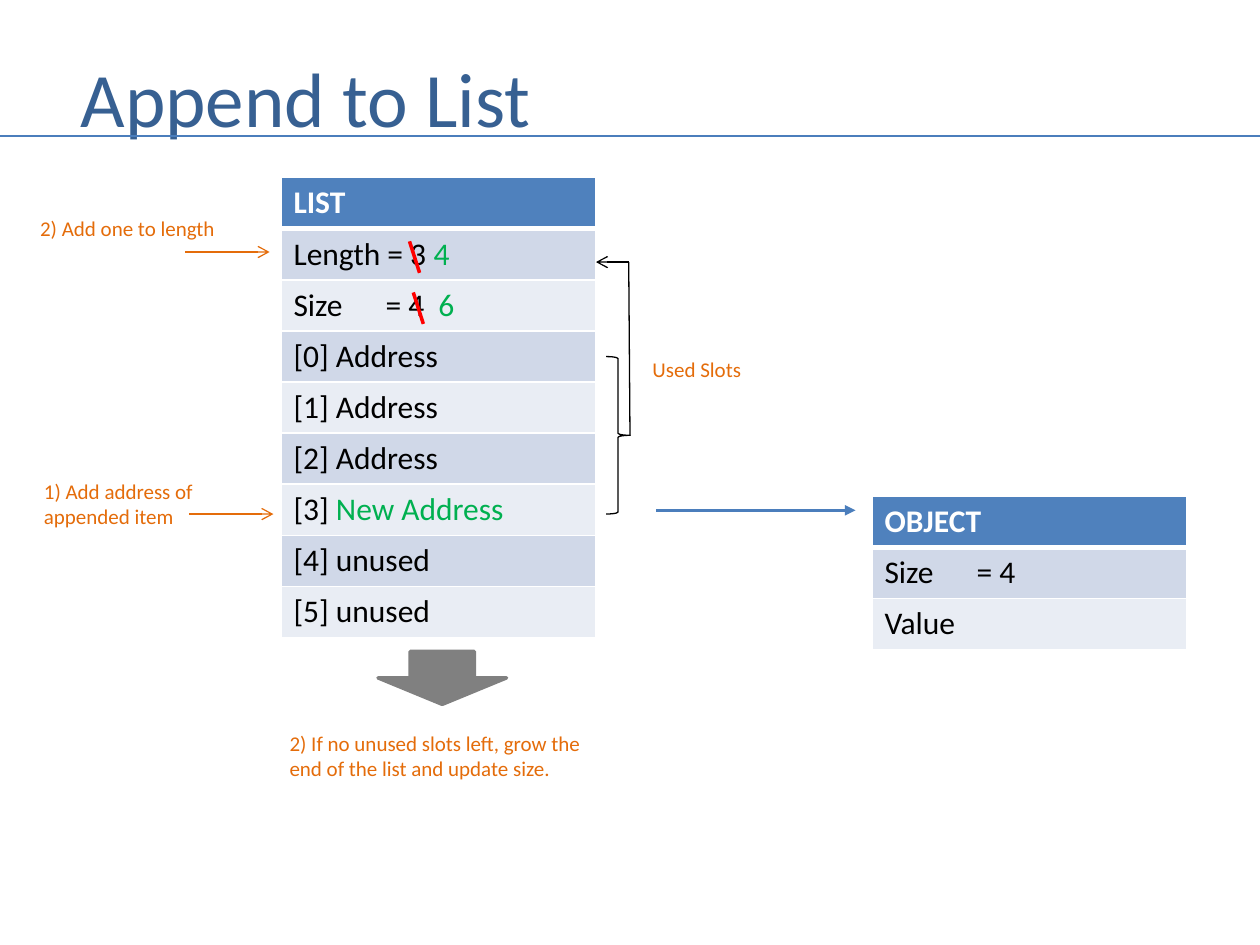
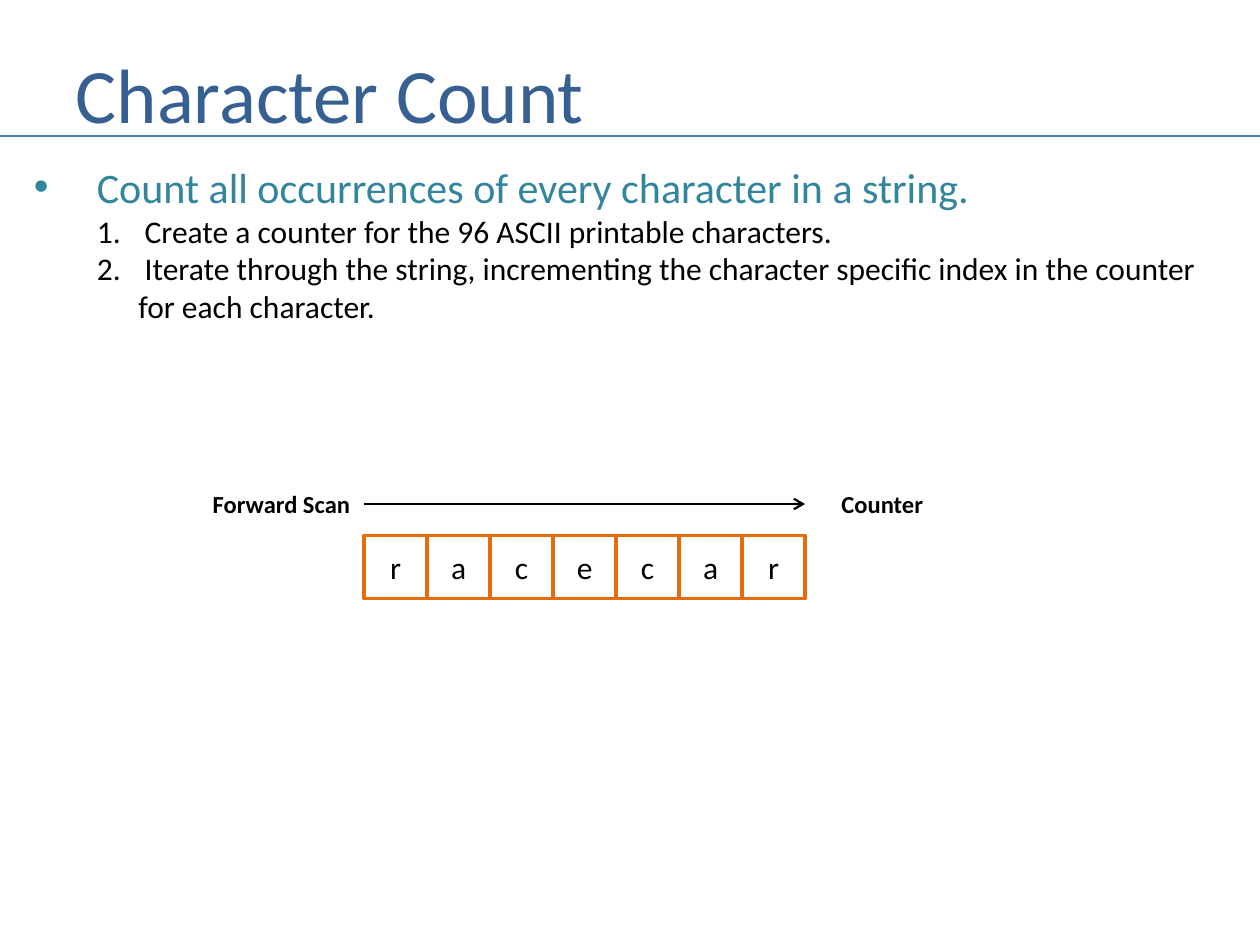
from dataclasses import dataclass

from lxml.etree import SubElement
from pptx import Presentation
from pptx.dml.color import RGBColor
from pptx.enum.shapes import MSO_CONNECTOR, MSO_SHAPE
from pptx.enum.text import MSO_ANCHOR, MSO_AUTO_SIZE, PP_ALIGN
from pptx.oxml import parse_xml
from pptx.oxml.ns import nsdecls, qn
from pptx.util import Emu, Inches, Pt


@dataclass(frozen=True)
class Theme:
    font: str = "Calibri"
    title: str = "376092"
    rule: str = "4B7EBC"
    header: str = "4F81BD"
    bands: tuple = ("D0D8E8", "E9EDF4")
    white: str = "FFFFFF"
    black: str = "000000"
    new: str = "00B050"
    strike: str = "FF0000"
    note: str = "E46C0A"
    lead: str = "31859C"
    grow: str = "808080"
    title_size: int = 44
    lead_size: int = 24
    body_size: int = 18
    label_size: int = 14
    note_size: int = 12


THEME = Theme()
SLIDE_WIDTH, SLIDE_HEIGHT = 10, 7.5
RULE_TOP = 1.08
TITLE_SIZE = (9.08, 0.87)
TABLE_WIDTH, ROW_HEIGHT = 2.5, 3.65 / 9
TAB_STOPS = (0.73, 1.15)
LIST_LEFT, LIST_TOP = 2.23, 1.41
OBJECT_LEFT, OBJECT_TOP = 6.92, 3.94

LIST_ROWS = [
    [("Length = 3 ", THEME.black), ("4", THEME.new)],
    [("Size\t= 4\t", THEME.black), ("6", THEME.new)],
    [("[0] Address", THEME.black)],
    [("[1] Address", THEME.black)],
    [("[2] Address", THEME.black)],
    [("[3] ", THEME.black), ("New Address", THEME.new)],
    [("[4] unused", THEME.black)],
    [("[5] unused", THEME.black)],
]
OBJECT_ROWS = [[("Size\t= 4", THEME.black)], [("Value", THEME.black)]]
NOTES = [
    ("Used Slots", (5.08, 2.78, 0.92, 0.3), False),
    ("1) Add address of appended item", (0.25, 3.75, 1.61, 0.5), True),
    ("2) Add one to length", (0.22, 1.66, 1.61, 0.3), True),
    ("2) If no unused slots left, grow the end of the list and update size.",
     (2.2, 5.75, 2.53, 0.5), True),
]
NOTE_ARROWS = [(1.5, 4.08), (1.47, 2)]
NOTE_ARROW_LENGTH = 0.67
STRIKES = [(1, 3.25), (2, 3.28)]

BULLET = '<a:buChar {} char="•"/>'
NUMBER = '<a:buAutoNum {} type="arabicPeriod"/>'
PLAIN = "<a:buNone {}/>"
STEPS = [
    ("Count all occurrences of every character in a string.",
     0, 0.5, -0.5, BULLET, THEME.lead_size, THEME.lead),
    ("Create a counter for the 96 ASCII printable characters.",
     1, 0.88, -0.38, NUMBER, THEME.body_size, THEME.black),
    ("Iterate through the string, incrementing the character specific index in the counter",
     1, 0.88, -0.38, NUMBER, THEME.body_size, THEME.black),
    ("for each character.",
     1, 0.83, 0, PLAIN, THEME.body_size, THEME.black),
]
WORD = "racecar"
WORD_LEFT, WORD_TOP, LETTER_SIDE = 2.89, 4.25, 0.5
SCAN_TOP = 4
SCAN_LABELS = [("Forward Scan", 1.59, 1.3), ("Counter", 6.58, 0.85)]


def color(value):
    return RGBColor.from_string(value)


def box(left, top, width, height):
    return [Inches(length) for length in (left, top, width, height)]


def style_runs(paragraph, size, text_color, bold=False):
    for run in paragraph.runs:
        run.font.name = THEME.font
        run.font.size = Pt(size)
        run.font.bold = bold
        run.font.color.rgb = color(text_color)


def add_line(slide, start, end, line_color, width, arrow=None):
    points = [Inches(value) for value in (*start, *end)]
    connector = slide.shapes.add_connector(MSO_CONNECTOR.STRAIGHT, *points)
    connector.line.color.rgb = color(line_color)
    connector.line.width = Pt(width)
    if arrow:
        SubElement(connector.line._get_or_add_ln(), qn("a:tailEnd"), type=arrow)
    SubElement(connector._element.spPr, qn("a:effectLst"))


def add_shape(slide, kind, place, line_color, width, fill=None):
    shape = slide.shapes.add_shape(kind, *box(*place))
    shape.shadow.inherit = False
    shape.line.color.rgb = color(line_color)
    shape.line.width = Pt(width)
    if fill:
        shape.fill.solid()
        shape.fill.fore_color.rgb = color(fill)
    else:
        shape.fill.background()
    return shape


def add_text(slide, text, place, size, text_color, wrap=False, bold=False):
    shape = slide.shapes.add_textbox(*box(*place))
    frame = shape.text_frame
    frame.word_wrap = wrap
    frame.auto_size = MSO_AUTO_SIZE.SHAPE_TO_FIT_TEXT
    frame.text = text
    for paragraph in frame.paragraphs:
        style_runs(paragraph, size, text_color, bold)
    return frame


def add_titled_slide(presentation, text, left, top):
    slide = presentation.slides.add_slide(presentation.slide_layouts[5])
    title = slide.shapes.title
    title.left, title.top, title.width, title.height = box(left, top, *TITLE_SIZE)
    title.text_frame.text = text
    title.text_frame.vertical_anchor = MSO_ANCHOR.MIDDLE
    paragraph = title.text_frame.paragraphs[0]
    paragraph.alignment = PP_ALIGN.LEFT
    style_runs(paragraph, THEME.title_size, THEME.title)
    add_line(slide, (0, RULE_TOP), (SLIDE_WIDTH, RULE_TOP), THEME.rule, 1.5)
    return slide


def set_borders(cell, top, bottom):
    properties = cell._tc.get_or_add_tcPr()
    for index, (side, width) in enumerate(zip("LRTB", (1, 1, top, bottom))):
        properties.insert(index, parse_xml(
            f'<a:ln{side} {nsdecls("a")} w="{Pt(width)}"><a:solidFill>'
            f'<a:srgbClr val="{THEME.white}"/></a:solidFill></a:ln{side}>'))


def add_record(slide, heading, rows, left, top):
    content = [[(heading, THEME.white)], *rows]
    place = box(left, top, TABLE_WIDTH, ROW_HEIGHT * len(content))
    table = slide.shapes.add_table(len(content), 1, *place).table
    for index, pieces in enumerate(content):
        table.rows[index].height = Inches(ROW_HEIGHT)
        cell = table.cell(index, 0)
        cell.fill.solid()
        fill = THEME.bands[(index - 1) % 2] if index else THEME.header
        cell.fill.fore_color.rgb = color(fill)
        set_borders(cell, 3 if index == 1 else 1, 1 if index else 3)
        paragraph = cell.text_frame.paragraphs[0]
        if any("\t" in text for text, _ in pieces):
            stops = SubElement(paragraph._p.get_or_add_pPr(), qn("a:tabLst"))
            for stop in TAB_STOPS:
                SubElement(stops, qn("a:tab"), pos=str(Inches(stop)), algn="l")
        for text, _ in pieces:
            paragraph.add_run().text = text
        style_runs(paragraph, THEME.body_size, THEME.black, bold=index == 0)
        for run, (_, run_color) in zip(paragraph.runs, pieces):
            run.font.color.rgb = color(run_color)


def build_append_slide(presentation):
    slide = add_titled_slide(presentation, "Append to List", 0.54, 0.33)
    add_record(slide, "LIST", LIST_ROWS, LIST_LEFT, LIST_TOP)
    add_shape(slide, MSO_SHAPE.RIGHT_BRACE, (4.81, 2.83, 0.19, 1.25), THEME.black, 0.75)
    corner = (4.99, 2.08)
    add_line(slide, (5, 3.46), corner, THEME.black, 0.75)
    add_line(slide, corner, (LIST_LEFT + TABLE_WIDTH, corner[1]), THEME.black, 0.75, "arrow")
    add_line(slide, (5.21, 4.05), (6.79, 4.05), THEME.rule, 2, "triangle")
    add_record(slide, "OBJECT", OBJECT_ROWS, OBJECT_LEFT, OBJECT_TOP)
    for row, left in STRIKES:
        top = LIST_TOP + row * ROW_HEIGHT + 0.1
        add_line(slide, (left, top), (left + 0.08, top + 0.25), THEME.strike, 2)
    for text, place, wrap in NOTES:
        add_text(slide, text, place, THEME.note_size, THEME.note, wrap)
    for left, top in NOTE_ARROWS:
        add_line(slide, (left, top), (left + NOTE_ARROW_LENGTH, top), THEME.note, 0.75, "arrow")
    add_shape(slide, MSO_SHAPE.DOWN_ARROW, (3, 5.17, 1.02, 0.42), THEME.grow, 2, THEME.grow)


def build_count_slide(presentation):
    slide = add_titled_slide(presentation, "Character Count", 0.5, 0.3)
    text = "\n".join(step[0] for step in STEPS)
    frame = add_text(slide, text, (0.17, 1.23, 9.59, 1.41), THEME.body_size, THEME.black)
    for paragraph, (_, level, margin, indent, marker, size, text_color) in zip(
            frame.paragraphs, STEPS):
        paragraph.level = level
        properties = paragraph._p.get_or_add_pPr()
        properties.set("marL", str(Inches(margin)))
        properties.set("indent", str(Inches(indent)))
        if marker == BULLET:
            SubElement(properties, qn("a:buFont"), typeface="Arial")
        properties.append(parse_xml(marker.format(nsdecls("a"))))
        style_runs(paragraph, size, text_color)
    for index, letter in enumerate(WORD):
        place = (WORD_LEFT + index * LETTER_SIDE, WORD_TOP, LETTER_SIDE, LETTER_SIDE)
        square = add_shape(slide, MSO_SHAPE.RECTANGLE, place, THEME.note, 2)
        square.text_frame.text = letter
        square.text_frame.vertical_anchor = MSO_ANCHOR.MIDDLE
        paragraph = square.text_frame.paragraphs[0]
        paragraph.alignment = PP_ALIGN.CENTER
        style_runs(paragraph, THEME.body_size, THEME.black)
    word_right = WORD_LEFT + len(WORD) * LETTER_SIDE
    add_line(slide, (WORD_LEFT, SCAN_TOP), (word_right, SCAN_TOP), THEME.black, 1.25, "arrow")
    for label, left, width in SCAN_LABELS:
        add_text(slide, label, (left, SCAN_TOP - 0.17, width, 0.34),
                 THEME.label_size, THEME.black, bold=True)


def main():
    presentation = Presentation()
    presentation.slide_width = Emu(Inches(SLIDE_WIDTH))
    presentation.slide_height = Emu(Inches(SLIDE_HEIGHT))
    build_append_slide(presentation)
    build_count_slide(presentation)
    presentation.save("out.pptx")


if __name__ == "__main__":
    main()
